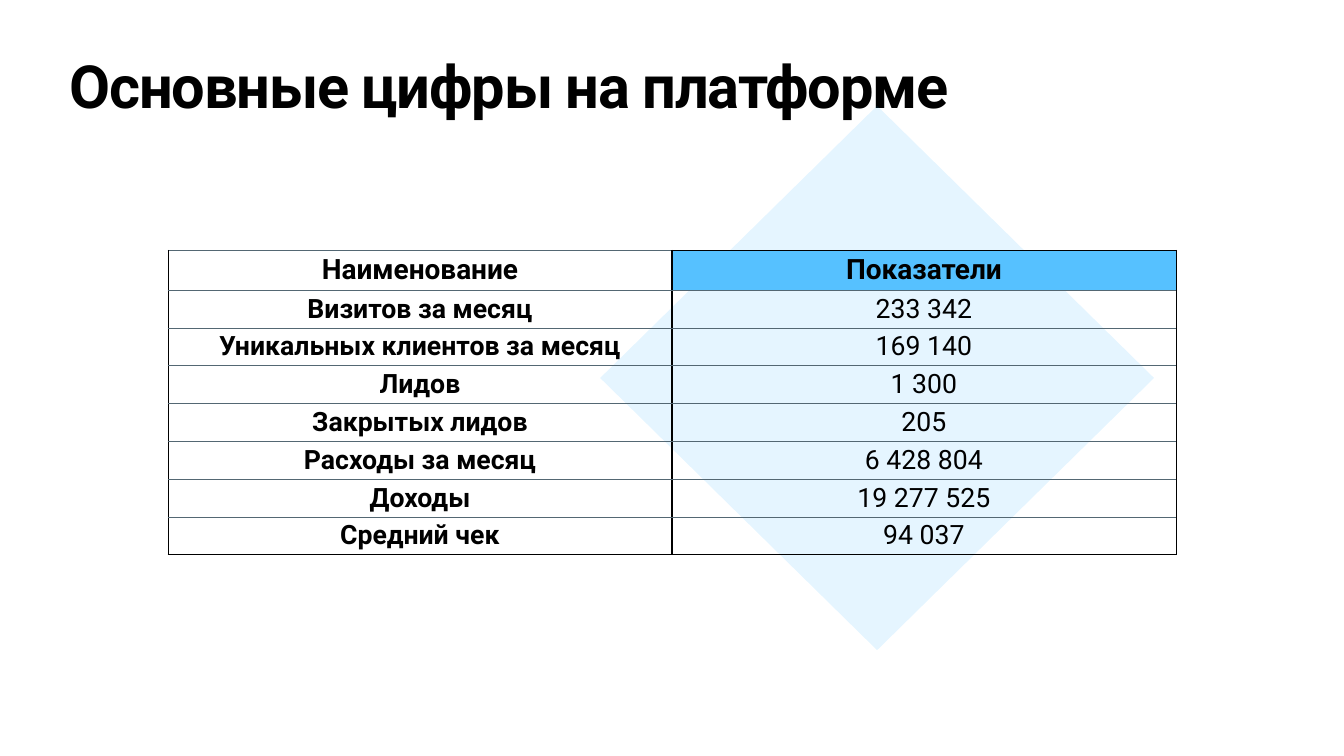
"""Builds a slide with a table of the platform's key monthly figures."""
from lxml import etree
from pptx import Presentation
from pptx.dml.color import RGBColor
from pptx.enum.shapes import MSO_SHAPE
from pptx.enum.text import MSO_ANCHOR, PP_ALIGN
from pptx.oxml.ns import qn
from pptx.util import Inches, Pt

DIAMOND = MSO_SHAPE.DIAMOND
TOP, MIDDLE = MSO_ANCHOR.TOP, MSO_ANCHOR.MIDDLE
LEFT, CENTER = PP_ALIGN.LEFT, PP_ALIGN.CENTER
BLACK, SLATE, SKY, AZURE = "000000", "536773", "56C1FF", "00A1FF"
INSET = Inches(0.06)


def paint(color, hex_value):
    color.rgb = RGBColor.from_string(hex_value)


def style_text(paragraph, size, bold, align):
    paragraph.alignment = align
    font = paragraph.runs[0].font
    font.name, font.size, font.bold = "Roboto", Pt(size), bold
    paint(font.color, BLACK)


figures = [
    ("Наименование", "Показатели"),
    ("Визитов за месяц", "233 342"),
    ("Уникальных клиентов за месяц", "169 140"),
    ("Лидов", "1 300"),
    ("Закрытых лидов", "205"),
    ("Расходы за месяц", "6 428 804"),
    ("Доходы", "19 277 525"),
    ("Средний чек", "94 037"),
]

deck = Presentation()
deck.slide_width, deck.slide_height = Inches(26.67), Inches(15)
width, height = deck.slide_width, deck.slide_height
slide = deck.slides.add_slide(deck.slide_layouts[5])

heading = slide.shapes.title
heading.left, heading.top = Inches(1.32), Inches(1.18)
heading.width, heading.height = Inches(24.03), Inches(1.57)
heading_frame = heading.text_frame
heading_frame.text = "Основные цифры на платформе"
heading_frame.vertical_anchor = TOP
heading_frame.margin_left = heading_frame.margin_right = INSET
heading_frame.margin_top = heading_frame.margin_bottom = INSET
heading_line = heading_frame.paragraphs[0]
heading_line.line_spacing = 0.8
style_text(heading_line, 85, True, LEFT)
heading_line.runs[0].font._element.set("spc", "-170")

backdrop = slide.shapes.add_shape(
    DIAMOND, Inches(11.91), Inches(2.1), Inches(10.99), Inches(10.8))
backdrop.shadow.inherit = False
backdrop.line.fill.background()
backdrop.fill.solid()
paint(backdrop.fill.fore_color, AZURE)
backdrop_color = backdrop.fill._xPr.find(f".//{qn('a:srgbClr')}")
etree.SubElement(backdrop_color, qn("a:alpha"), val="10000")

column_width, header_height, row_height = Inches(10), Inches(0.79), Inches(0.75)
last = len(figures) - 1
table = slide.shapes.add_table(
    len(figures), 2, width // 8, round(height * 0.331),
    2 * column_width, header_height + last * row_height).table
table.first_row = table.horz_banding = False
for column in table.columns:
    column.width = column_width

for row, entry in enumerate(figures):
    table.rows[row].height = row_height if row else header_height
    for column, wording in enumerate(entry):
        cell = table.cell(row, column)
        cell.text = wording
        cell.vertical_anchor = MIDDLE
        cell.margin_left = cell.margin_right = INSET
        cell.margin_top = cell.margin_bottom = INSET
        style_text(cell.text_frame.paragraphs[0], 38 if row else 40,
                   row == 0 or column == 0, CENTER)

        properties = cell._tc.get_or_add_tcPr()
        borders = {
            "a:lnL": (BLACK, 1 + column),
            "a:lnR": (BLACK, 2 - column),
            "a:lnT": (BLACK if row == 0 and column else SLATE, 1),
            "a:lnB": (BLACK if row == last else SLATE, 1),
        }
        for side, (shade, weight) in borders.items():
            border = etree.SubElement(properties, qn(side), w=str(Pt(weight)))
            solid = etree.SubElement(border, qn("a:solidFill"))
            etree.SubElement(solid, qn("a:srgbClr"), val=shade)

        if row == 0 and column == 1:
            cell.fill.solid()
            paint(cell.fill.fore_color, SKY)
        else:
            cell.fill.background()

deck.save("out.pptx")
